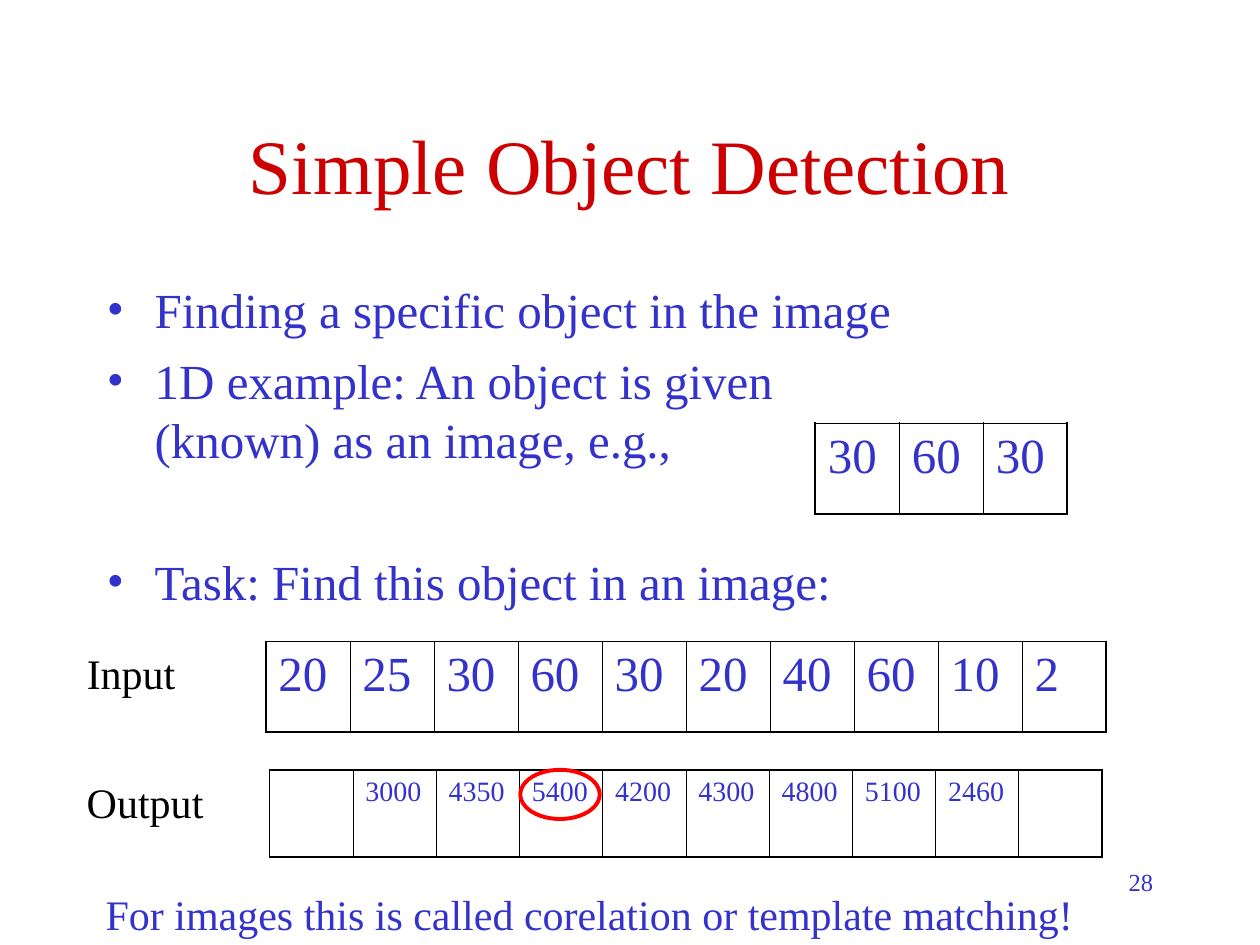
from dataclasses import dataclass

from lxml.etree import SubElement
from pptx import Presentation
from pptx.dml.color import RGBColor
from pptx.enum.shapes import MSO_SHAPE
from pptx.enum.text import MSO_ANCHOR, MSO_AUTO_SIZE, PP_ALIGN
from pptx.oxml.ns import qn
from pptx.slide import Slide
from pptx.table import _Cell
from pptx.text.text import _Paragraph
from pptx.util import Inches, Pt

FONT = "Times New Roman"
BLACK = RGBColor(0x00, 0x00, 0x00)
BLUE = RGBColor(0x33, 0x33, 0xCC)
DARK_RED = RGBColor(0xCC, 0x00, 0x00)
RED = RGBColor(0xFF, 0x00, 0x00)
OUTER_LINE = Pt(1.08)
INNER_LINE = Pt(0.45)


@dataclass
class TextItem:
    """A line of text; without wrap, its box grows to fit."""
    text: str
    left: float
    top: float
    width: float
    height: float
    size: float = 24
    color: RGBColor = BLUE
    align: PP_ALIGN = PP_ALIGN.LEFT
    anchor: MSO_ANCHOR = MSO_ANCHOR.TOP
    wrap: bool = False


@dataclass
class PixelRow:
    """A one-row table of pixel values; an empty string leaves a cell blank."""
    values: list[str]
    left: float
    top: float
    width: float
    height: float
    size: float = 28
    space_before: float = 7


@dataclass
class Bullet:
    text: str
    space_before: float = 7


TEXT_ITEMS = [
    TextItem("Simple Object Detection", 0.75, 0.67, 8.5, 1.25, size=44, color=DARK_RED,
             align=PP_ALIGN.CENTER, anchor=MSO_ANCHOR.MIDDLE, wrap=True),
    TextItem("Input", 0.59, 5.09, 0.92, 0.5, color=BLACK),
    TextItem("Output", 0.59, 6.11, 1.14, 0.5, color=BLACK),
    TextItem("For images this is called corelation or template matching!", 0.74, 7, 7.9, 0.5),
    TextItem("28", 7.17, 6.83, 2.08, 0.5, size=14, align=PP_ALIGN.RIGHT, wrap=True),
]

BULLETS = [
    Bullet("Finding a specific object in the image"),
    Bullet("1D example: An object is given (known) as an image, e.g.,"),
    Bullet("Task: Find this object in an image:", space_before=47.5),
]

OBJECT_ROW = PixelRow(["30", "60", "30"], 6.47, 3.36, 2, 0.72)
INPUT_ROW = PixelRow(["20", "25", "30", "60", "30", "20", "40", "60", "10", "2"],
                     2.11, 5.09, 6.67, 0.72)
OUTPUT_ROW = PixelRow(["", "3000", "4350", "5400", "4200", "4300", "4800", "5100", "2460", ""],
                      2.14, 6.11, 6.61, 0.69, size=16, space_before=4)


def write_text(paragraph: _Paragraph, text: str, *, size: float, color: RGBColor = BLUE,
               align: PP_ALIGN = PP_ALIGN.LEFT, space_before: float = 0) -> None:
    paragraph.alignment = align
    paragraph.space_before = Pt(space_before)
    paragraph.font.size = Pt(size)
    if text:
        run = paragraph.add_run()
        run.text = text
        run.font.name = FONT
        run.font.size = Pt(size)
        run.font.color.rgb = color


def add_text(slide: Slide, item: TextItem) -> None:
    box = slide.shapes.add_textbox(Inches(item.left), Inches(item.top),
                                   Inches(item.width), Inches(item.height))
    frame = box.text_frame
    frame.word_wrap = item.wrap
    frame.auto_size = MSO_AUTO_SIZE.NONE if item.wrap else MSO_AUTO_SIZE.SHAPE_TO_FIT_TEXT
    frame.vertical_anchor = item.anchor
    write_text(frame.paragraphs[0], item.text, size=item.size, color=item.color,
               align=item.align)


def add_bullets(slide: Slide, bullets: list[Bullet]) -> None:
    box = slide.shapes.add_textbox(Inches(0.75), Inches(2.17), Inches(6.77), Inches(4.5))
    frame = box.text_frame
    frame.word_wrap = True
    for index, bullet in enumerate(bullets):
        paragraph = frame.add_paragraph() if index else frame.paragraphs[0]
        write_text(paragraph, bullet.text, size=28, space_before=bullet.space_before)
        properties = paragraph._p.get_or_add_pPr()
        properties.set("marL", str(Inches(0.38)))
        properties.set("indent", str(-Inches(0.38)))
        bullet_color = SubElement(properties, qn("a:buClr"))
        SubElement(bullet_color, qn("a:srgbClr"), val=str(BLUE))
        SubElement(properties, qn("a:buFont"), typeface=FONT)
        SubElement(properties, qn("a:buChar"), char="•")
        # The schema wants the default run properties after the bullet.
        properties.append(properties.find(qn("a:defRPr")))


def set_borders(cell: _Cell, is_first: bool, is_last: bool) -> None:
    widths = {
        "a:lnL": OUTER_LINE if is_first else INNER_LINE,
        "a:lnR": OUTER_LINE if is_last else INNER_LINE,
        "a:lnT": OUTER_LINE,
        "a:lnB": OUTER_LINE,
    }
    properties = cell._tc.get_or_add_tcPr()
    for tag, width in widths.items():
        line = SubElement(properties, qn(tag), w=str(width))
        fill = SubElement(line, qn("a:solidFill"))
        SubElement(fill, qn("a:srgbClr"), val=str(BLACK))


def add_pixel_row(slide: Slide, row: PixelRow) -> None:
    count = len(row.values)
    table = slide.shapes.add_table(1, count, Inches(row.left), Inches(row.top),
                                   Inches(row.width), Inches(row.height)).table
    table.first_row = False
    table.horz_banding = False
    for index, value in enumerate(row.values):
        table.columns[index].width = Inches(row.width / count)
        cell = table.cell(0, index)
        set_borders(cell, index == 0, index == count - 1)
        cell.fill.background()
        write_text(cell.text_frame.paragraphs[0], value, size=row.size,
                   space_before=row.space_before)


def add_peak_marker(slide: Slide) -> None:
    marker = slide.shapes.add_shape(MSO_SHAPE.OVAL, Inches(4.13), Inches(6.11),
                                    Inches(0.63), Inches(0.39))
    marker.shadow.inherit = False
    marker.fill.background()
    marker.line.color.rgb = RED
    marker.line.width = Pt(2.25)


def main() -> None:
    presentation = Presentation()
    presentation.slide_width = Inches(10)
    presentation.slide_height = Inches(7.5)
    slide = presentation.slides.add_slide(presentation.slide_layouts[6])
    add_bullets(slide, BULLETS)
    for row in (OBJECT_ROW, INPUT_ROW, OUTPUT_ROW):
        add_pixel_row(slide, row)
    for item in TEXT_ITEMS:
        add_text(slide, item)
    add_peak_marker(slide)
    presentation.save("out.pptx")


if __name__ == "__main__":
    main()
